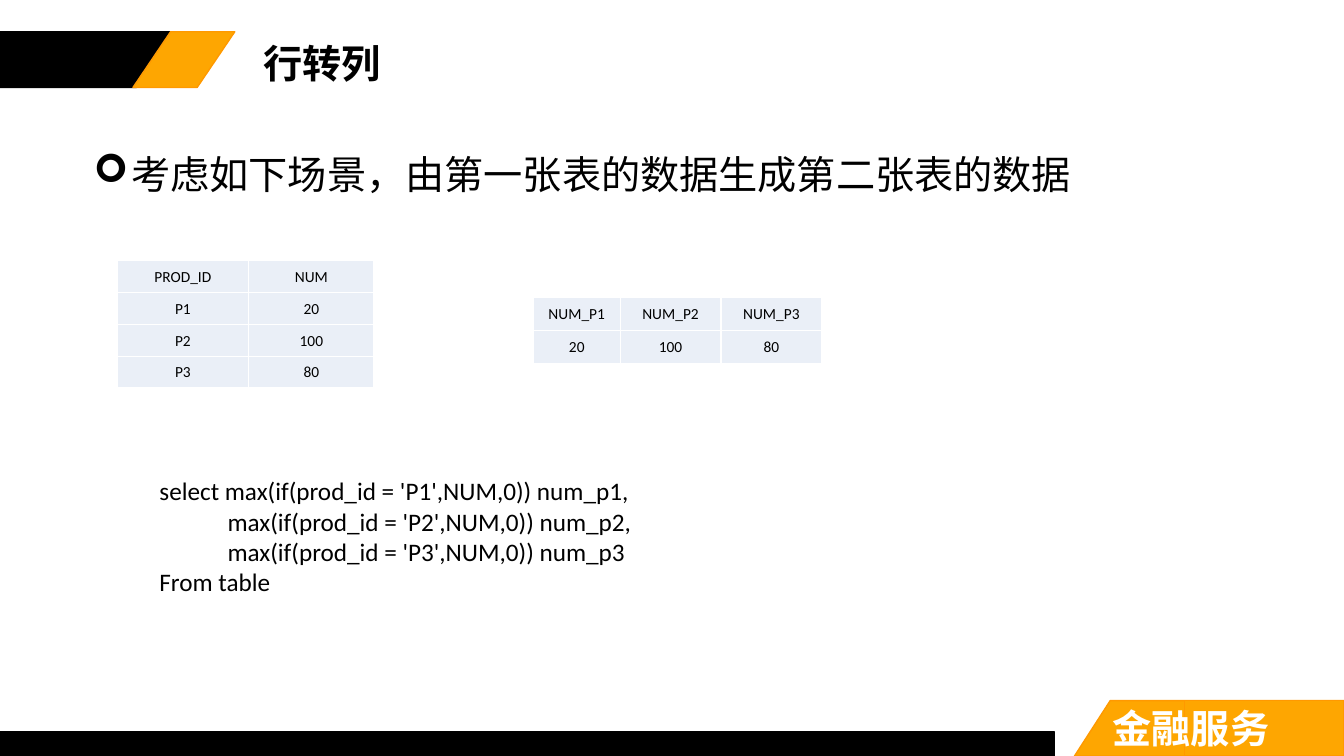
from lxml import etree
from pptx import Presentation
from pptx.dml.color import RGBColor
from pptx.enum import shapes, text
from pptx.oxml import ns
from pptx.util import Pt

BLACK, WHITE, ORANGE, AMBER, PALE = "000000", "FFFFFF", "FEA601", "FF9900", "EAEFF7"
LATIN, CJK = "Calibri", "Noto Sans CJK SC"


def color(value):
    """Turn a hex string into a colour."""
    return RGBColor.from_string(value)


def add_xml(parent, tag, **attributes):
    """Append a DrawingML element and return it."""
    return etree.SubElement(parent, ns.qn(tag), attributes)


def add_run(paragraph, words, size, ink=BLACK, font=LATIN, bold=False):
    """Add one formatted run, with a matching East Asian font."""
    run = paragraph.add_run()
    run.text = words
    run.font.size = Pt(size)
    run.font.name = font
    run.font.bold = bold
    run.font.color.rgb = color(ink)
    add_xml(run.font._element, "a:ea", typeface=CJK)


def set_indent(paragraph, left, first=0):
    """Set the left margin and first-line indent in points."""
    properties = paragraph._p.get_or_add_pPr()
    properties.set("marL", str(Pt(left)))
    properties.set("indent", str(Pt(first)))
    return properties


def add_band(slide, box, fill, line, slant=None):
    """Add a rectangle, or a parallelogram when a slant is given."""
    kind = shapes.MSO_SHAPE.RECTANGLE if slant is None else shapes.MSO_SHAPE.PARALLELOGRAM
    band = slide.shapes.add_shape(kind, *map(Pt, box))
    if slant is not None:
        band.adjustments[0] = slant
    band.shadow.inherit = False
    band.fill.solid()
    band.fill.fore_color.rgb = color(fill)
    band.line.color.rgb = color(line)
    band.line.width = Pt(1)


def add_text_frame(slide, box, wrap=True):
    """Add a text box and return its frame."""
    frame = slide.shapes.add_textbox(*map(Pt, box)).text_frame
    frame.word_wrap = wrap
    frame.auto_size = text.MSO_AUTO_SIZE.SHAPE_TO_FIT_TEXT
    return frame


def fill_cell(cell, words):
    """Write one centred cell with white borders and a pale fill."""
    cell.margin_left = cell.margin_right = cell.margin_top = Pt(0.75)
    cell.margin_bottom = 0
    cell.vertical_anchor = text.MSO_ANCHOR.MIDDLE
    properties = cell._tc.get_or_add_tcPr()
    for side in "LRTB":
        border = add_xml(properties, f"a:ln{side}", w=str(Pt(1)))
        add_xml(add_xml(border, "a:solidFill"), "a:srgbClr", val=WHITE)
    cell.fill.solid()
    cell.fill.fore_color.rgb = color(PALE)
    paragraph = cell.text_frame.paragraphs[0]
    paragraph.alignment = text.PP_ALIGN.CENTER
    add_run(paragraph, words, 11)


def add_data_table(slide, left, top, widths, row_height, rows):
    """Add a plain table holding the given rows."""
    table = slide.shapes.add_table(
        len(rows), len(widths), Pt(left), Pt(top),
        Pt(sum(widths)), Pt(row_height * len(rows))).table
    table.first_row = table.horz_banding = False
    for column, width in zip(table.columns, widths):
        column.width = Pt(width)
    for row, values in zip(table.rows, rows):
        row.height = Pt(row_height)
        for cell, words in zip(row.cells, values):
            fill_cell(cell, words)


def add_heading(slide, words):
    """Place and format the title."""
    title = slide.shapes.title
    title.left, title.top, title.width, title.height = map(Pt, (180.7, 23, 370.8, 40.3))
    frame = title.text_frame
    frame.auto_size = text.MSO_AUTO_SIZE.NONE
    frame.vertical_anchor = text.MSO_ANCHOR.TOP
    frame.margin_left = frame.margin_right = Pt(7.2)
    frame.margin_top, frame.margin_bottom = Pt(8.6), Pt(5.8)
    paragraph = frame.paragraphs[0]
    paragraph.alignment = text.PP_ALIGN.LEFT
    paragraph.line_spacing = 0.9
    paragraph.space_before = Pt(10)
    add_run(paragraph, words, 28, font="DejaVu Sans Mono", bold=True)


def add_bullet(slide, words):
    """Add the arrow-bulleted statement."""
    paragraph = add_text_frame(slide, (59.8, 103.7, 850, 41.2)).paragraphs[0]
    properties = set_indent(paragraph, 27, -27)
    add_xml(properties, "a:buFont", typeface="Wingdings")
    add_xml(properties, "a:buChar", char="\u27a2")
    add_run(paragraph, words, 28)


def add_query(slide, lines):
    """Add the query, given as pairs of indent and code."""
    frame = add_text_frame(slide, (106.8, 336.2, 356.4, 94.5), wrap=False)
    for number, (indent, code) in enumerate(lines):
        paragraph = frame.add_paragraph() if number else frame.paragraphs[0]
        set_indent(paragraph, indent)
        add_run(paragraph, code, 18)


def main():
    """Build the slide and save it."""
    deck = Presentation()
    deck.slide_width, deck.slide_height = Pt(960), Pt(540)
    slide = deck.slides.add_slide(deck.slide_layouts[5])

    add_band(slide, (-1.4, 22.7, 124.5, 39.8), BLACK, BLACK, 0.645)
    add_band(slide, (0, 22.7, 73, 39.8), BLACK, BLACK, 0)
    add_band(slide, (95, 22.7, 72.7, 39.8), ORANGE, AMBER, 0.675)
    add_band(slide, (0, 522.7, 753, 17.3), BLACK, BLACK)
    add_band(slide, (767.5, 500.4, 193, 39.6), ORANGE, AMBER, 0.645)
    add_band(slide, (846, 500.4, 113.5, 39.6), ORANGE, AMBER, 0)
    footer = add_text_frame(slide, (787.7, 499.7, 181.4, 41.2))
    add_run(footer.paragraphs[0], "金融服务", 28, WHITE, CJK, True)

    add_heading(slide, "行转列")
    add_bullet(slide, "考虑如下场景，由第一张表的数据生成第二张表的数据")

    amounts = {"P1": "20", "P2": "100", "P3": "80"}
    add_data_table(slide, 83.5, 186, (94.3, 89.3), 22.8,
                   [("PROD_ID", "NUM"), *amounts.items()])
    add_data_table(slide, 381, 212.4, (62, 72, 72), 23.6,
                   [[f"NUM_{product}" for product in amounts], list(amounts.values())])
    add_query(slide, [
        (0, "select max(if(prod_id = 'P1',NUM,0)) num_p1,"),
        (48.6, "max(if(prod_id = 'P2',NUM,0)) num_p2,"),
        (48.6, "max(if(prod_id = 'P3',NUM,0)) num_p3"),
        (0, "From table"),
    ])
    deck.save("out.pptx")


main()
